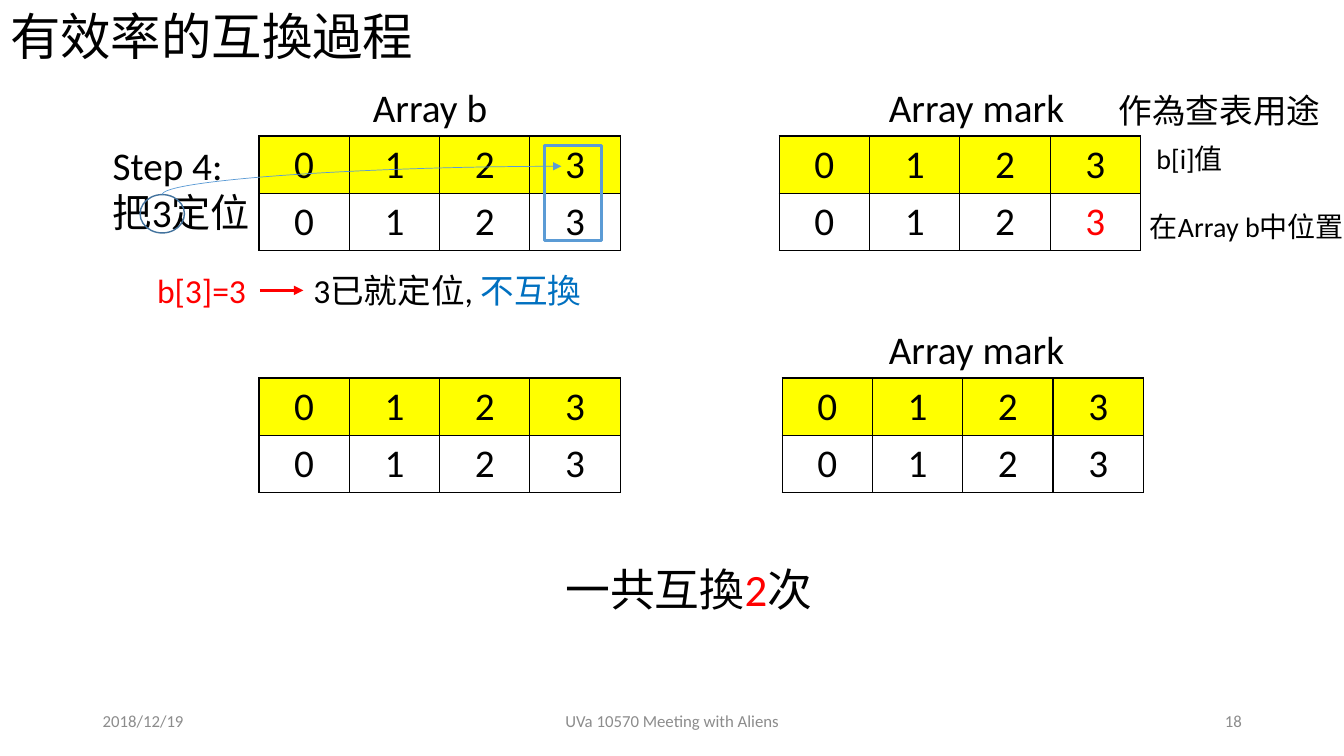
from lxml import etree
from pptx import Presentation
from pptx.dml.color import RGBColor
from pptx.enum.shapes import MSO_CONNECTOR, MSO_SHAPE
from pptx.enum.text import MSO_ANCHOR, MSO_AUTO_SIZE, PP_ALIGN
from pptx.oxml.ns import qn
from pptx.util import Pt

LEFT, CENTER, RIGHT = PP_ALIGN.LEFT, PP_ALIGN.CENTER, PP_ALIGN.RIGHT
TOP, MIDDLE = MSO_ANCHOR.TOP, MSO_ANCHOR.MIDDLE
NO_AUTOSIZE = MSO_AUTO_SIZE.NONE
STRAIGHT, CURVE = MSO_CONNECTOR.STRAIGHT, MSO_CONNECTOR.CURVE
RECTANGLE, OVAL = MSO_SHAPE.RECTANGLE, MSO_SHAPE.OVAL

THEME = {
    "latin": "Calibri", "east_asian": "Noto Sans CJK SC",
    "black": "000000", "red": "FF0000", "blue": "0070C0", "gray": "8C8C8C",
    "yellow": "FFFF00", "accent": "5B9BD5", "accent_dark": "43739E",
    "title": 36, "total": 32, "large": 28, "medium": 24, "small": 20, "footer": 12,
}

TITLE = ("有效率的互換過程", (0, 0, 329, 51))
INDEXES = ["0", "1", "2", "3"]
VALUES = ["0", "1", "2", "3"]
TABLES = [
    (185, 97.2, None),
    (556.6, 97.2, 3),
    (185, 270, None),
    (558.7, 270, None),
]
COLUMN_WIDTH, ROW_HEIGHT = 64.5, 40.8

LABELS = [
    ((259.2, 56.2, 119.5, 41), "large", [("Array b", "black")]),
    ((627.8, 56.2, 186.5, 41), "large", [("Array mark", "black")]),
    ((627.8, 229, 186.5, 41), "large", [("Array mark", "black")]),
    ((792, 60.5, 160, 36), "medium", [("作為查表用途", "black")]),
    ((819, 97.2, 69, 31.7), "small", [("b[i]值", "black")]),
    ((814.3, 146.2, 157, 31.7), "small", [("在Array b中位置", "black")]),
    ((73.4, 97.2, 115.2, 75), "large", [("Step 4:把3定位", "black")]),
    ((396.7, 397.4, 201.6, 46), "total",
     [("一共互換", "black"), ("2", "red"), ("次", "black")]),
]
CONDITION = ((105.1, 189.4, 80.6, 36), "medium", [("b[3]=3", "red")])
RESULT = ((216.7, 189.4, 236.2, 36), "medium",
          [("3已就定位, ", "black"), ("不互換", "blue")])
FOOTERS = [
    ("2018/12/19", (66.2, 500.4, 216, 28.8), LEFT),
    ("UVa 10570 Meeting with Aliens", (318.2, 500.4, 324, 28.8), CENTER),
    ("18", (678.2, 500.4, 216, 28.8), RIGHT),
]
VALUE_RING = (100.1, 139, 31.7, 27.4)
COLUMN_FRAME = (388.8, 103.7, 41, 68.4)
CURVE_START, CURVE_END = (115.9, 139), (401, 118.8)


def color(name):
    return RGBColor.from_string(THEME[name])


def points(values):
    return [Pt(value) for value in values]


def write(paragraph, runs, size, alignment=LEFT):
    paragraph.alignment = alignment
    font = paragraph.font
    font.size = Pt(THEME[size])
    font.name = THEME["latin"]
    east_asian = etree.SubElement(font._element, qn("a:ea"))
    east_asian.set("typeface", THEME["east_asian"])
    for text, color_name in runs:
        run = paragraph.add_run()
        run.text = text
        run.font.color.rgb = color(color_name)


def add_label(slide, box, size, runs, alignment=LEFT, anchor=TOP):
    shape = slide.shapes.add_textbox(*points(box))
    frame = shape.text_frame
    frame.word_wrap = True
    frame.vertical_anchor = anchor
    write(frame.paragraphs[0], runs, size, alignment)
    return shape


def add_borders(cell):
    properties = cell._tc.get_or_add_tcPr()
    for position, side in enumerate(("lnL", "lnR", "lnT", "lnB")):
        line = etree.Element(qn(f"a:{side}"), w=str(Pt(1)))
        fill = etree.SubElement(line, qn("a:solidFill"))
        etree.SubElement(fill, qn("a:srgbClr"), val=THEME["black"])
        properties.insert(position, line)


def add_array(slide, left, top, red_column):
    rows = [INDEXES, VALUES]
    box = (left, top, COLUMN_WIDTH * len(INDEXES), ROW_HEIGHT * len(rows))
    table = slide.shapes.add_table(len(rows), len(INDEXES), *points(box)).table
    table.first_row = table.horz_banding = False
    for row_number, row in enumerate(rows):
        table.rows[row_number].height = Pt(ROW_HEIGHT)
        for column, value in enumerate(row):
            table.columns[column].width = Pt(COLUMN_WIDTH)
            cell = table.cell(row_number, column)
            cell.vertical_anchor = MIDDLE
            if row_number == 0:
                cell.fill.solid()
                cell.fill.fore_color.rgb = color("yellow")
            else:
                cell.fill.background()
            highlighted = row_number == 1 and column == red_column
            runs = [(value, "red" if highlighted else "black")]
            write(cell.text_frame.paragraphs[0], runs, "large", CENTER)
            add_borders(cell)


def add_outline(slide, preset, box, color_name, width):
    shape = slide.shapes.add_shape(preset, *points(box))
    shape.shadow.inherit = False
    shape.fill.background()
    shape.line.color.rgb = color(color_name)
    shape.line.width = Pt(width)


def add_arrow(slide, kind, start, end, color_name, width):
    arrow = slide.shapes.add_connector(kind, *points(start + end))
    arrow.line.color.rgb = color(color_name)
    arrow.line.width = Pt(width)
    etree.SubElement(arrow.line._get_or_add_ln(), qn("a:tailEnd"), type="triangle")
    etree.SubElement(arrow._element.spPr, qn("a:effectLst"))
    return arrow


def add_curved_arrow(slide):
    arrow = add_arrow(slide, CURVE, CURVE_START, CURVE_END, "accent", 0.5)
    across = CURVE_END[0] - CURVE_START[0]
    rise = CURVE_START[1] - CURVE_END[1]
    arrow.left = Pt(CURVE_START[0] + (across - rise) / 2)
    arrow.top = Pt(CURVE_END[1] + (rise - across) / 2)
    arrow.width, arrow.height = Pt(rise), Pt(across)
    properties = arrow._element.spPr
    transform = properties.find(qn("a:xfrm"))
    for name, value in (("rot", "5400000"), ("flipH", "1"), ("flipV", "1")):
        transform.set(name, value)
    properties.find(qn("a:prstGeom")).set("prst", "curvedConnector2")


def add_title(slide):
    text, box = TITLE
    title = slide.shapes.title
    title.left, title.top, title.width, title.height = points(box)
    frame = title.text_frame
    frame.auto_size = NO_AUTOSIZE
    frame.word_wrap = True
    frame.vertical_anchor = TOP
    write(frame.paragraphs[0], [(text, "black")], "title")


def main():
    presentation = Presentation()
    presentation.slide_width, presentation.slide_height = Pt(960), Pt(540)
    slide = presentation.slides.add_slide(presentation.slide_layouts[5])
    add_title(slide)
    for text, box, alignment in FOOTERS:
        add_label(slide, box, "footer", [(text, "gray")], alignment, MIDDLE)
    for left, top, red_column in TABLES:
        add_array(slide, left, top, red_column)
    for box, size, runs in LABELS:
        add_label(slide, box, size, runs)
    add_outline(slide, OVAL, VALUE_RING, "accent_dark", 1)
    add_curved_arrow(slide)
    add_outline(slide, RECTANGLE, COLUMN_FRAME, "accent", 2.25)
    condition = add_label(slide, *CONDITION)
    result = add_label(slide, *RESULT)
    arrow = add_arrow(slide, STRAIGHT, (185.7, 207.4), (216.7, 207.4), "red", 2.25)
    arrow.begin_connect(condition, 3)
    arrow.end_connect(result, 1)
    presentation.save("out.pptx")


if __name__ == "__main__":
    main()
